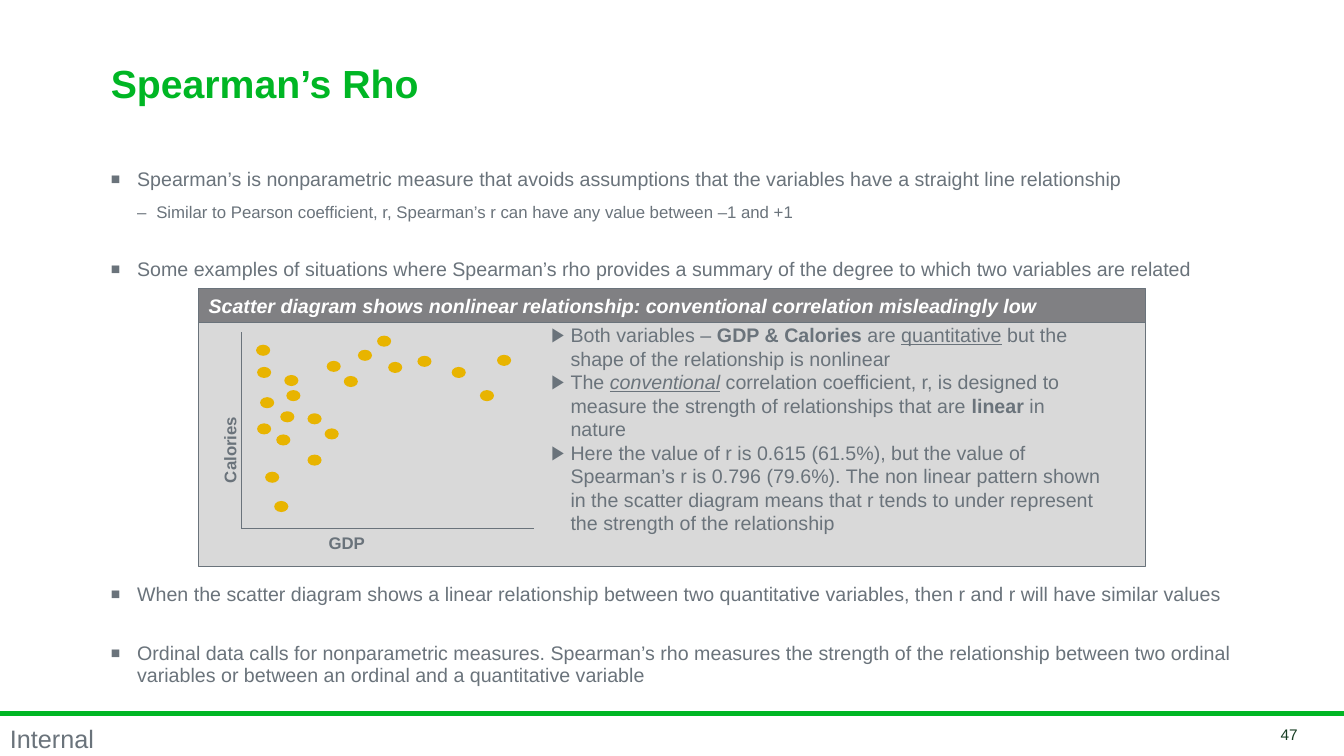
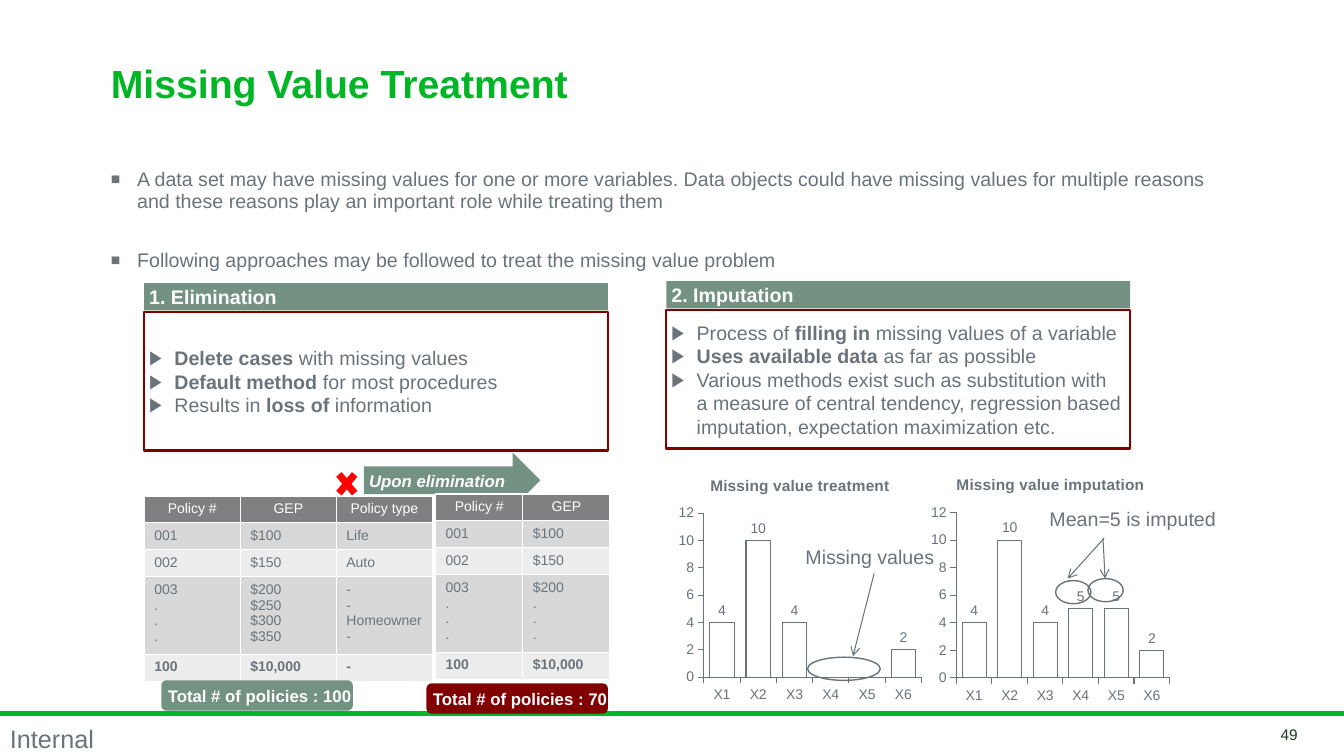
from lxml.etree import SubElement
from pptx import Presentation
from pptx.chart.data import CategoryChartData as Data
from pptx.dml.color import RGBColor
from pptx.enum.chart import XL_CHART_TYPE as Kind, XL_LABEL_POSITION as Spot
from pptx.enum.shapes import MSO_CONNECTOR as Link, MSO_SHAPE as Geo
from pptx.enum.text import MSO_ANCHOR as Anchor, MSO_AUTO_SIZE as Auto, PP_ALIGN as Align
from pptx.oxml import parse_xml
from pptx.oxml.ns import nsdecls, qn
from pptx.util import Inches, Pt

FONT = "Arial"
GREEN, GREY, SAGE, MAROON = "00B624", "6A737B", "739283", "800000"
WHITE, SLATE, PALE, GOLD, RED = "FFFFFF", "808083", "D9D9D9", "E8B400", "FF0000"
BANDS = "D8D8D9", "EDEDED"
DARK = "163D22"

# Centres of the scatter points
DOTS = [(2.62, 4.26), (2.61, 3.48), (2.89, 3.78), (3.12, 4.16), (2.62, 3.7),
        (2.65, 4), (2.91, 3.93), (2.81, 4.37), (2.7, 4.74), (3.12, 4.57),
        (2.79, 5.03), (3.29, 4.31), (2.85, 4.14), (3.31, 3.64), (3.48, 3.79),
        (3.62, 3.53), (3.92, 3.65), (3.81, 3.39), (4.21, 3.59), (4.55, 3.7),
        (4.83, 3.93), (5, 3.58)]

POLICIES = [("Policy #", "GEP", "Policy type"),
            ("001", "$100", "Life"),
            ("002", "$150", "Auto"),
            ("003\v.\v.\v.", "$200\v$250\v$300\v$350", "-\v-\vHomeowner\v-"),
            ("100", "$10,000", "-")]
KEPT = [row[:2] for row in POLICIES]
KEPT[3] = ("003\v.\v.\v.", "$200\v.\v.\v.")


# Text and colour
def rgb(code):
    return RGBColor.from_string(code)


def style(font, size, color=GREY, bold=False, italic=False):
    font.name, font.size = FONT, Pt(size)
    font.bold, font.italic = bold, italic
    font.color.rgb = rgb(color)


def bullet(par, char, left, hang, scale=100):
    props = par._p.get_or_add_pPr()
    props.set("marL", str(Inches(left)))
    props.set("indent", str(-Inches(hang)))
    tint = SubElement(props, qn("a:buClr"))
    SubElement(tint, qn("a:srgbClr")).set("val", GREY)
    SubElement(props, qn("a:buSzPct")).set("val", str(scale * 1000))
    SubElement(props, qn("a:buFont")).set("typeface", FONT)
    SubElement(props, qn("a:buChar")).set("char", char)


def pars(frame, count):
    """Yield the frame's first paragraph, then new ones."""
    yield frame.paragraphs[0]
    for _ in range(count - 1):
        yield frame.add_paragraph()


def write(frame, text, size, color=GREY, bold=False, italic=False, align=Align.LEFT):
    par = frame.paragraphs[0]
    par.text, par.alignment = text, align
    style(par.font, size, color, bold, italic)


def points(frame, items, hang):
    """Fill with arrow bullets; each item is a list of (text, marks from "biu")."""
    for par, item in zip(pars(frame, len(items)), items):
        par.alignment = Align.LEFT
        bullet(par, "▶", hang, hang)
        style(par.font, 14)
        for text, marks in item:
            if text == "\v":
                par.add_line_break()
                continue
            run = par.add_run()
            run.text = text
            if "b" in marks:
                run.font.bold = True
            if "i" in marks:
                run.font.italic = True
            if "u" in marks:
                run.font.underline = True


def place(shape, *box):
    shape.left, shape.top, shape.width, shape.height = map(Inches, box)


# Shapes
def draw(shapes, geo, box, fill=None, line=None, width=1):
    shape = shapes.add_shape(geo, *map(Inches, box))
    shape.shadow.inherit = False
    if fill:
        shape.fill.solid()
        shape.fill.fore_color.rgb = rgb(fill)
    else:
        shape.fill.background()
    if line:
        shape.line.color.rgb = rgb(line)
        shape.line.width = Pt(width)
    else:
        shape.line.fill.background()
    return shape


def inset(shape, wrap=True):
    frame = shape.text_frame
    frame.word_wrap, frame.vertical_anchor = wrap, Anchor.MIDDLE
    frame.margin_left = frame.margin_right = Inches(0.05)
    frame.margin_top = frame.margin_bottom = Inches(0.05)
    return frame


def tag(shapes, geo, box, text, size, fill=SAGE, italic=False):
    frame = inset(draw(shapes, geo, box, fill), wrap=False)
    write(frame, text, size, WHITE, True, italic)


def label(shapes, box, text, size, **look):
    shape = shapes.add_textbox(*map(Inches, box))
    shape.text_frame.word_wrap = True
    write(shape.text_frame, text, size, **look)
    return shape


def rule(shapes, start, end, color=GREY, width=0.75, arrow=False):
    line = shapes.add_connector(Link.STRAIGHT, *map(Inches, start + end))
    line.line.color.rgb = rgb(color)
    line.line.width = Pt(width)
    props = line._element.spPr
    if arrow:
        SubElement(props.find(qn("a:ln")), qn("a:tailEnd")).set("type", "arrow")
    SubElement(props, qn("a:effectLst"))


# Tables and charts
def table(shapes, left, top, width, rows):
    heights = [0.26, 0.26, 0.26, 0.76, 0.26]
    box = map(Inches, (left, top, width, sum(heights)))
    grid = shapes.add_table(len(rows), len(rows[0]), *box).table
    for r, row in enumerate(rows):
        grid.rows[r].height = Inches(heights[r])
        head, last = r == 0, r == len(rows) - 1
        for c, text in enumerate(row):
            cell = grid.cell(r, c)
            cell.fill.solid()
            cell.fill.fore_color.rgb = rgb(SLATE if head else BANDS[(r - 1) % 2])
            write(cell.text_frame, text, 10, WHITE if head else GREY, last,
                  align=Align.CENTER if head else Align.LEFT)


def columns(shapes, box, title, values, gap):
    data = Data()
    data.categories = [f"X{n}" for n in range(1, 7)]
    data.add_series("Series 1", values)
    chart = shapes.add_chart(Kind.COLUMN_CLUSTERED, *map(Inches, box), data).chart
    style(chart.font, 10)
    chart.has_legend = False
    chart.has_title = True
    write(chart.chart_title.text_frame, title, 11, bold=True, align=Align.CENTER)
    scale = chart.value_axis
    scale.has_major_gridlines = False
    scale.minimum_scale, scale.maximum_scale, scale.major_unit = 0, 12, 2
    for axis in (scale, chart.category_axis):
        axis.format.line.color.rgb = rgb(GREY)
    plot = chart.plots[0]
    plot.gap_width, plot.vary_by_categories = gap, False
    plot.has_data_labels = True
    plot.data_labels.show_value = True
    plot.data_labels.position = Spot.OUTSIDE_END
    bars = plot.series[0].format
    bars.fill.background()
    bars.line.color.rgb = rgb(GREY)
    bars.line.width = Pt(0.75)
    # Fix the plot area so that the callouts meet the bars
    area = chart.element.find(".//" + qn("c:plotArea"))
    for old in area.findall(qn("c:layout")):
        area.remove(old)
    sizes = "".join(f'<c:{k} val="{v}"/>' for k, v in
                    (("x", 0.12), ("y", 0.21), ("w", 0.86), ("h", 0.67)))
    area.insert(0, parse_xml(
        f'<c:layout {nsdecls("c")}><c:manualLayout><c:layoutTarget val="inner"/>'
        f'<c:xMode val="edge"/><c:yMode val="edge"/>{sizes}'
        '</c:manualLayout></c:layout>'))


# Frame shared by the slides: title, bullets, footer
def page(deck, title, number, items):
    """Each item is (text, level, space before)."""
    slide = deck.slides.add_slide(deck.slide_layouts[1])
    shapes = slide.shapes
    rule(shapes, (0, 7.08), (13.33, 7.08), GREEN, 3.5)
    mark = label(shapes, (0, 7.15, 1.04, 0.39), "Internal", 18)
    mark.text_frame.word_wrap = False
    mark.text_frame.paragraphs[0].line_spacing = 0.95
    folio = label(shapes, (11.96, 7.19, 1.01, 0.2), number, 11, color=DARK,
                  align=Align.RIGHT)
    folio.text_frame.vertical_anchor = Anchor.MIDDLE

    place(shapes.title, 1, 0.42, 9.89, 0.88)
    frame = shapes.title.text_frame
    frame.auto_size, frame.vertical_anchor = Auto.NONE, Anchor.MIDDLE
    write(frame, title, 28, GREEN, True)
    frame.paragraphs[0].line_spacing = 0.85

    body = slide.placeholders[1]
    place(body, 1, 1.62, 11.33, 5.13)
    frame = body.text_frame
    frame.auto_size = Auto.NONE
    for par, (text, level, before) in zip(pars(frame, len(items)), items):
        par.text, par.level = text, level
        if level:
            bullet(par, "–", 0.45, 0.19)
        else:
            bullet(par, "■", 0.26, 0.26, 80)
        par.line_spacing, par.space_before = 0.95, Pt(before)
        style(par.font, 12 if level else 14)
    return shapes


def rho(deck):
    shapes = page(deck, "Spearman’s Rho", "47", [
        ("Spearman’s is nonparametric measure that avoids assumptions that the variables have a straight line relationship", 0, 0),
        ("Similar to Pearson coefficient, r, Spearman’s r can have any value between –1 and +1", 1, 9),
        ("Some examples of situations where Spearman’s rho provides a summary of the degree to which two variables are related", 0, 26),
        ("When the scatter diagram shows a linear relationship between two quantitative variables, then r and r will have similar values", 0, 216),
        ("Ordinal data calls for nonparametric measures. Spearman’s rho measures the strength of the relationship between two ordinal variables or between an ordinal and a quantitative variable", 0, 26)])
    # Scatter panel
    panel = shapes.add_group_shape().shapes
    draw(panel, Geo.RECTANGLE, (1.97, 3.16, 9.39, 2.46), PALE, GREY)
    rule(panel, (2.4, 5.25), (2.4, 3.29))
    rule(panel, (2.4, 5.24), (5.3, 5.24))
    for x, y in DOTS:
        draw(panel, Geo.OVAL, (x - 0.07, y - 0.06, 0.14, 0.11), GOLD)
    label(panel, (3.16, 5.24, 1.52, 0.3), "GDP", 12, bold=True)
    label(panel, (1.63, 4.09, 1.3, 0.3), "Calories", 12, bold=True).rotation = 270
    bar = draw(panel, Geo.RECTANGLE, (1.97, 2.86, 9.39, 0.34), SLATE, GREY)
    bar.text_frame.vertical_anchor = Anchor.MIDDLE
    write(bar.text_frame, "Scatter diagram shows nonlinear relationship: conventional correlation misleadingly low",
          14, WHITE, True, True)
    notes = panel.add_textbox(*map(Inches, (5.37, 3.26, 5.68, 1.99))).text_frame
    notes.word_wrap, notes.vertical_anchor = True, Anchor.MIDDLE
    points(notes, [
        [("Both variables – ", ""), ("GDP & Calories ", "b"), ("are ", ""),
         ("quantitative", "u"), (" but the shape of the relationship is nonlinear", "")],
        [("The ", ""), ("conventional", "iu"),
         (" correlation coefficient, r, is designed to measure the strength of relationships that are ", ""),
         ("linear", "b"), (" in nature", "")],
        [("Here the value of r is 0.615 (61.5%), but the value of Spearman’s r is 0.796 (79.6%). The non linear pattern shown in the scatter diagram means that r tends to under represent the strength of the relationship", "")]],
        0.19)


def missing(deck):
    shapes = page(deck, "Missing Value Treatment", "49", [
        ("A data set may have missing values for one or more variables. Data objects could have missing values for multiple reasons and these reasons play an important role while treating them", 0, 0),
        ("Following approaches may be followed to treat the missing value problem", 0, 26)])
    # The two approaches
    tag(shapes, Geo.RIGHT_ARROW, (3.61, 4.49, 1.75, 0.55), "Upon elimination", 12, italic=True)
    for left, top, name, items in (
            (1.43, 2.81, "1. Elimination", [
                [("Delete cases ", "b"), ("with missing values", "")],
                [("Default method ", "b"), ("for most procedures", "")],
                [("Results in ", ""), ("loss of ", "b"), ("information", "")]]),
            (6.61, 2.79, "2. Imputation", [
                [("Process of ", ""), ("filling in ", "b"), ("missing values of a variable", "")],
                [("Uses available data ", "b"), ("as far as possible", "")],
                [("Various methods exist such as substitution with", ""), ("\v", ""),
                 ("a measure of central tendency, regression based imputation, expectation maximization etc.", "")]])):
        box = draw(shapes, Geo.RECTANGLE, (left, top + 0.29, 4.6, 1.37), WHITE, MAROON, 1.5)
        points(inset(box), items, 0.25)
        tag(shapes, Geo.RECTANGLE, (left, top, 4.6, 0.27), name, 14)
    # Imputation charts and callouts
    columns(shapes, (6.68, 4.58, 2.51, 2.43), "Missing value treatment", (4, 10, 4, None, None, 2), 48)
    columns(shapes, (9.19, 4.57, 2.46, 2.45), "Missing value imputation", (4, 10, 4, 5, 5, 2), 47)
    label(shapes, (10.31, 4.98, 2.39, 0.34), "Mean=5 is imputed", 14)
    label(shapes, (7.89, 5.36, 1.57, 0.34), "Missing values", 14)
    for ring in ((8.01, 6.52, 0.72, 0.23), (10.47, 5.76, 0.35, 0.23), (10.79, 5.74, 0.35, 0.23)):
        draw(shapes, Geo.OVAL, ring, line=GREY)
    for start, end in (((8.67, 5.69), (8.46, 6.51)), ((10.95, 5.34), (10.59, 5.74)),
                       ((10.94, 5.34), (10.96, 5.74))):
        rule(shapes, start, end, arrow=True)
    # Elimination tables and totals
    table(shapes, 1.43, 4.92, 2.86, POLICIES)
    draw(shapes, Geo.MATH_MULTIPLY, (3.29, 4.62, 0.3, 0.36), RED)
    table(shapes, 4.32, 4.9, 1.73, KEPT)
    tag(shapes, Geo.ROUNDED_RECTANGLE, (1.6, 6.75, 1.9, 0.3), "Total # of policies : 100", 12)
    tag(shapes, Geo.ROUNDED_RECTANGLE, (4.23, 6.78, 1.8, 0.3), "Total # of policies : 70", 12, MAROON)


def main():
    deck = Presentation()
    deck.slide_width, deck.slide_height = Inches(13.33), Inches(7.5)
    rho(deck)
    missing(deck)
    deck.save("out.pptx")


if __name__ == "__main__":
    main()
